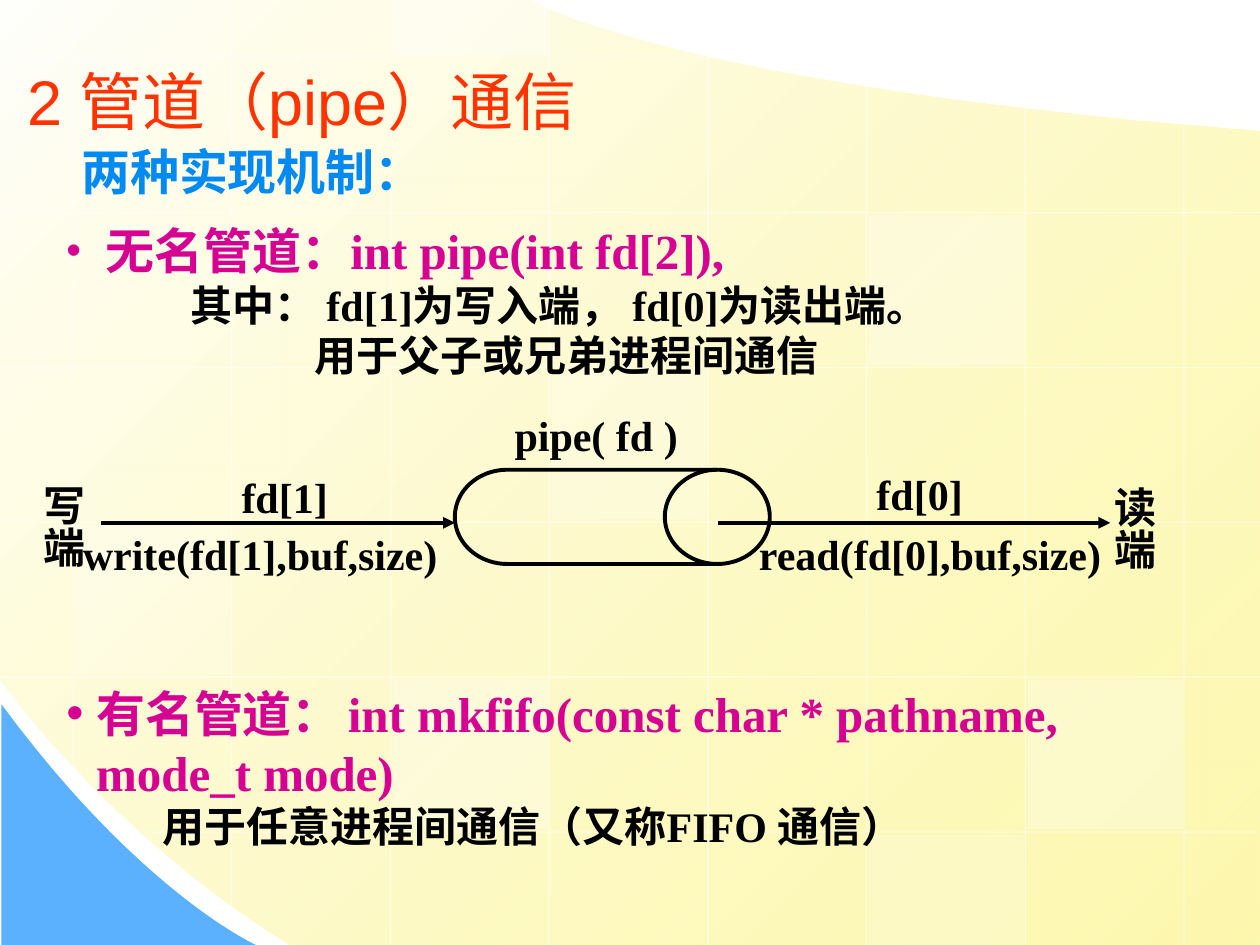
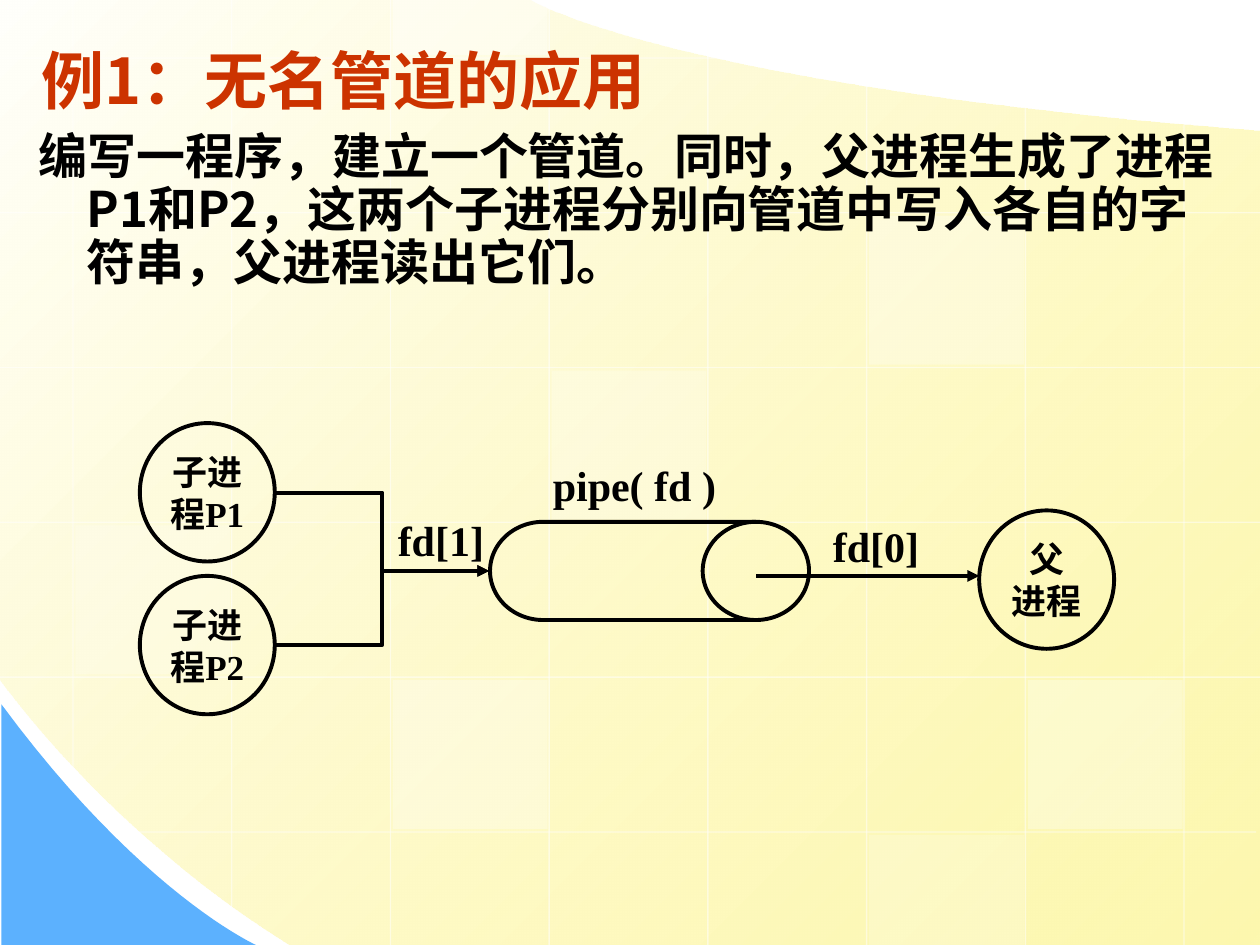
from lxml.etree import SubElement
from pptx import Presentation
from pptx.dml.color import RGBColor
from pptx.enum.shapes import MSO_CONNECTOR, MSO_SHAPE
from pptx.enum.text import MSO_ANCHOR, PP_ALIGN
from pptx.oxml.ns import qn
from pptx.util import Cm, Pt

INK = {
    "black": "000000", "white": "FFFFFF", "cream": "FFFFFB", "yellow": "FDF58D",
    "sky": "5CB1FE", "blue": "008AF2", "pink": "D60093", "red": "FF3300",
    "brick": "CC3300",
}
CJK = "Noto Sans CJK SC"
ROMAN = "Times New Roman"
WIDE, HIGH = 25.4, 19.05


def write(shape, rows, align=PP_ALIGN.LEFT, anchor=MSO_ANCHOR.MIDDLE, wrap=True):
    """Fill a shape with rows of runs: (text, size, colour, font, bold)."""
    frame = shape.text_frame
    frame.word_wrap = wrap
    frame.vertical_anchor = anchor
    for n, row in enumerate(rows):
        para = frame.add_paragraph() if n else frame.paragraphs[0]
        para.alignment = align
        for text, size, tint, face, bold in row:
            run = para.add_run()
            run.text = text
            run.font.size = Pt(size)
            run.font.bold = bold
            run.font.color.rgb = RGBColor.from_string(INK[tint])
            run.font.name = face
            SubElement(run.font._element, qn("a:ea"), typeface=CJK)
    return frame


def link(slide, ends, tint="black", width=2.25, kind=MSO_CONNECTOR.STRAIGHT, head=True):
    """Draw a connector between two points, with an arrowhead if asked."""
    wire = slide.shapes.add_connector(kind, *[Cm(v) for v in ends])
    wire.line.color.rgb = RGBColor.from_string(INK[tint])
    wire.line.width = Pt(width)
    if head:
        SubElement(wire.element.spPr.find(qn("a:ln")), qn("a:tailEnd"), type="triangle")
    SubElement(wire.element.spPr, qn("a:effectLst"))
    return wire


prs = Presentation()
prs.slide_width, prs.slide_height = Cm(WIDE), Cm(HIGH)
blank = prs.slide_layouts[6]
first = prs.slides.add_slide(blank)

# Backdrop outlines: single points are corners, groups of three are curves
field = [
    [(25.4, 2.64)], [(25.4, 19.05)], [(5.84, 19.05)],
    [(2.18, 16.79), (0, 13.69), (0, 13.69)], [(0, 0)], [(10.69, 0)],
    [(10.69, 0.03), (13.64, 1.75), (25.4, 2.64)],
]
corner = [
    [(0.03, 14.2)], [(0.03, 19.05)], [(5.16, 19.05)],
    [(5.16, 19.05), (2.84, 18.01), (0.03, 14.2)],
]
areas = []
for outline in (field, corner):
    dots = []
    for step in outline:
        if len(step) == 1:
            dots += step
            continue
        a, (b, c, d) = dots[-1], step
        for n in range(1, 25):
            t = n / 24
            u = 1 - t
            dots.append(tuple(
                u**3 * a[i] + 3 * u * u * t * b[i] + 3 * u * t * t * c[i] + t**3 * d[i]
                for i in (0, 1)))
    dots = [(Cm(x), Cm(y)) for x, y in dots]
    pen = first.shapes.build_freeform(*dots[0])
    pen.add_line_segments(dots[1:])
    area = pen.convert_to_shape()
    area.shadow.inherit = False
    area.line.fill.background()
    areas.append(area)

fill = areas[0].fill
fill.gradient()
fill.gradient_angle = 315
for stop, tint in zip(fill.gradient_stops, ("cream", "yellow")):
    stop.color.rgb = RGBColor.from_string(INK[tint])
tones = list(areas[0].element.iter(qn("a:srgbClr")))
SubElement(tones[-1], qn("a:alpha"), val="70000")
areas[1].fill.solid()
areas[1].fill.fore_color.rgb = RGBColor.from_string(INK["sky"])

# Backdrop grid
LEFT, TOP, COL, ROW = 1.47, 1.17, 3.2, 3.12
tops = [0, 0, 0, 0, 1.09, 1.73, 2.16, 2.49]
lows = [15.47, 18.26] + [HIGH] * 6
spans = [(0, 14.43)] + [(0, WIDE)] * 4 + [(2.82, 25.32)]
rules = [(LEFT + COL * n, top, LEFT + COL * n, low)
         for n, (top, low) in enumerate(zip(tops, lows))]
rules += [(end, TOP + ROW * n, start, TOP + ROW * n)
          for n, (start, end) in enumerate(spans)]
for ends in rules:
    rule = link(first, ends, "white", 0.75, head=False)
    SubElement(next(rule.element.iter(qn("a:srgbClr"))), qn("a:alpha"), val="50000")

# Backdrop tiles: column, row, opacity
for col, row, alpha in [(3, 2, 25), (6, 4, 30), (0, 3, 20), (5, 5, 20),
                        (2, -1, 40), (2, 4, 30), (5, 1, 30)]:
    top = TOP + ROW * row + 0.06
    low = min(top + 3, HIGH)
    top = max(top, 0)
    tile = first.shapes.add_shape(MSO_SHAPE.RECTANGLE, Cm(LEFT + COL * col + 0.05),
                                  Cm(top), Cm(3.12), Cm(low - top))
    tile.shadow.inherit = False
    tile.line.fill.background()
    tile.fill.solid()
    tile.fill.fore_color.rgb = RGBColor.from_string(INK["white"])
    tone = next(tile.element.iter(qn("a:srgbClr")))
    SubElement(tone, qn("a:alpha"), val=str(alpha * 1000))

# Move the backdrop to the master, below its placeholders
master = prs.slide_master
for n, part in enumerate(list(first.shapes)):
    master.shapes.element.insert(2 + n, part.element)
for n, tag in enumerate(master.element.iter(qn("p:cNvPr")), 1):
    tag.set("id", str(n))

second = prs.slides.add_slide(blank)

# Headings
for slide, spot, align, run in [
    (first, (0.3, 1.32, 24.1, 1.4), PP_ALIGN.LEFT,
     ("2 管道（pipe）通信", 36, "red", "Arial", False)),
    (first, (1.09, 2.72, 8, 1.45), PP_ALIGN.CENTER,
     ("两种实现机制：", 28, "blue", "Arial", True)),
    (second, (0.58, 0, 21.6, 3.18), PP_ALIGN.LEFT,
     ("例1：无名管道的应用", 36, "brick", CJK, True)),
]:
    write(slide.shapes.add_textbox(*[Cm(v) for v in spot]), [[run]], align)

# The two kinds of pipe, each a bullet with indented notes
kinds = [
    (4.32, [[(" ", 24, "pink", ROMAN, True),
             ("无名管道：int pipe(int fd[2]),", 28, "pink", ROMAN, True)],
            [("其中： fd[1]为写入端， fd[0]为读出端。", 24, "black", ROMAN, True)],
            [("用于父子或兄弟进程间通信", 24, "black", ROMAN, True)]], [2.51, 5]),
    (13.65, [[("有名管道：", 28, "pink", ROMAN, True),
              (" ", 18, "black", "Arial", False),
              ("int mkfifo(const char * pathname, mode_t mode)", 28, "pink", ROMAN, True)],
             [("用于任意进程间通信（又称FIFO 通信）", 24, "black", ROMAN, True)]], [1.94]),
]
for top, rows, shifts in kinds:
    box = first.shapes.add_textbox(Cm(1.09), Cm(top), Cm(22.4), Cm(3.9))
    head, *notes = write(box, rows, anchor=MSO_ANCHOR.TOP).paragraphs
    props = head._p.get_or_add_pPr()
    props.set("marL", str(Cm(0.6)))
    props.set("indent", str(-Cm(0.6)))
    tone = SubElement(props, qn("a:buClr"))
    SubElement(tone, qn("a:srgbClr"), val=INK["pink"])
    SubElement(props, qn("a:buFont"), typeface="Arial")
    SubElement(props, qn("a:buChar"), char="•")
    for note, shift in zip(notes, shifts):
        note._p.get_or_add_pPr().set("marL", str(Cm(shift)))

# The task on the second slide
box = second.shapes.add_textbox(Cm(0.53), Cm(2.54), Cm(24.3), Cm(3.81))
task = ("编写一程序，建立一个管道。同时，父进程生成了进程P1和P2，"
        "这两个子进程分别向管道中写入各自的字符串，父进程读出它们。")
para = write(box, [[(task, 28, "black", CJK, True)]],
             anchor=MSO_ANCHOR.TOP).paragraphs[0]
para.line_spacing = 0.9
para.space_before = Pt(7)
props = para._p.get_or_add_pPr()
props.set("marL", str(Cm(0.97)))
props.set("indent", str(-Cm(0.97)))

# Drums and process circles
DRUM, RING = MSO_SHAPE.FLOWCHART_DIRECT_ACCESS_STORAGE, MSO_SHAPE.OVAL
for slide, kind, spot, lines in [
    (first, DRUM, (9.17, 9.47, 6.35, 1.9), []),
    (second, DRUM, (9.88, 10.52, 6.43, 1.98), []),
    (second, RING, (2.82, 8.53, 2.72, 2.79), ["子进", "程P1"]),
    (second, RING, (2.82, 11.61, 2.72, 2.79), ["子进", "程P2"]),
    (second, RING, (19.74, 10.29, 2.72, 2.79), ["父", "进程"]),
]:
    node = slide.shapes.add_shape(kind, *[Cm(v) for v in spot])
    node.shadow.inherit = False
    node.fill.background()
    node.line.color.rgb = RGBColor.from_string(INK["black"])
    node.line.width = Pt(2.25)
    write(node, [[(line, 20, "black", ROMAN, True)] for line in lines],
          PP_ALIGN.CENTER, wrap=False)

# Arrows
for slide, ends in [(first, (2.03, 10.54, 9.17, 10.54)),
                    (first, (14.48, 10.54, 22.38, 10.54)),
                    (second, (15.24, 11.61, 19.74, 11.61))]:
    link(slide, ends)
for top in (9.93, 13):
    link(second, (5.56, top, 9.86, 11.51), kind=MSO_CONNECTOR.ELBOW)

# Labels: left, top, width
for slide, text, left, top, width in [
    (first, "fd[1]", 4.62, 9.37, 2.24),
    (first, "fd[0]", 17.42, 9.32, 2.24),
    (first, "write(fd[1],buf,size)", 1.42, 10.52, 7.65),
    (first, "read(fd[0],buf,size)", 15.04, 10.52, 7.42),
    (first, "pipe( fd )", 9.77, 8.13, 4.5),
    (second, "fd[1]", 7.77, 10.24, 2.24),
    (second, "fd[0]", 16.54, 10.36, 2.24),
    (second, "pipe( fd )", 10.54, 9.14, 4.5),
]:
    box = slide.shapes.add_textbox(Cm(left), Cm(top), Cm(width), Cm(1.27))
    write(box, [[(text, 24, "black", ROMAN, True)]], PP_ALIGN.CENTER, wrap=False)

# Upright labels at both ends of the pipe
for text, left, top in [("写端", 0.51, 9.52), ("读端", 22.1, 9.55)]:
    box = first.shapes.add_textbox(Cm(left), Cm(top), Cm(1.52), Cm(2.36))
    frame = write(box, [[(text, 24, "black", ROMAN, True)]], PP_ALIGN.CENTER)
    frame.margin_left = frame.margin_right = Cm(0.13)
    box.element.txBody.find(qn("a:bodyPr")).set("vert", "eaVert")

prs.save("out.pptx")
